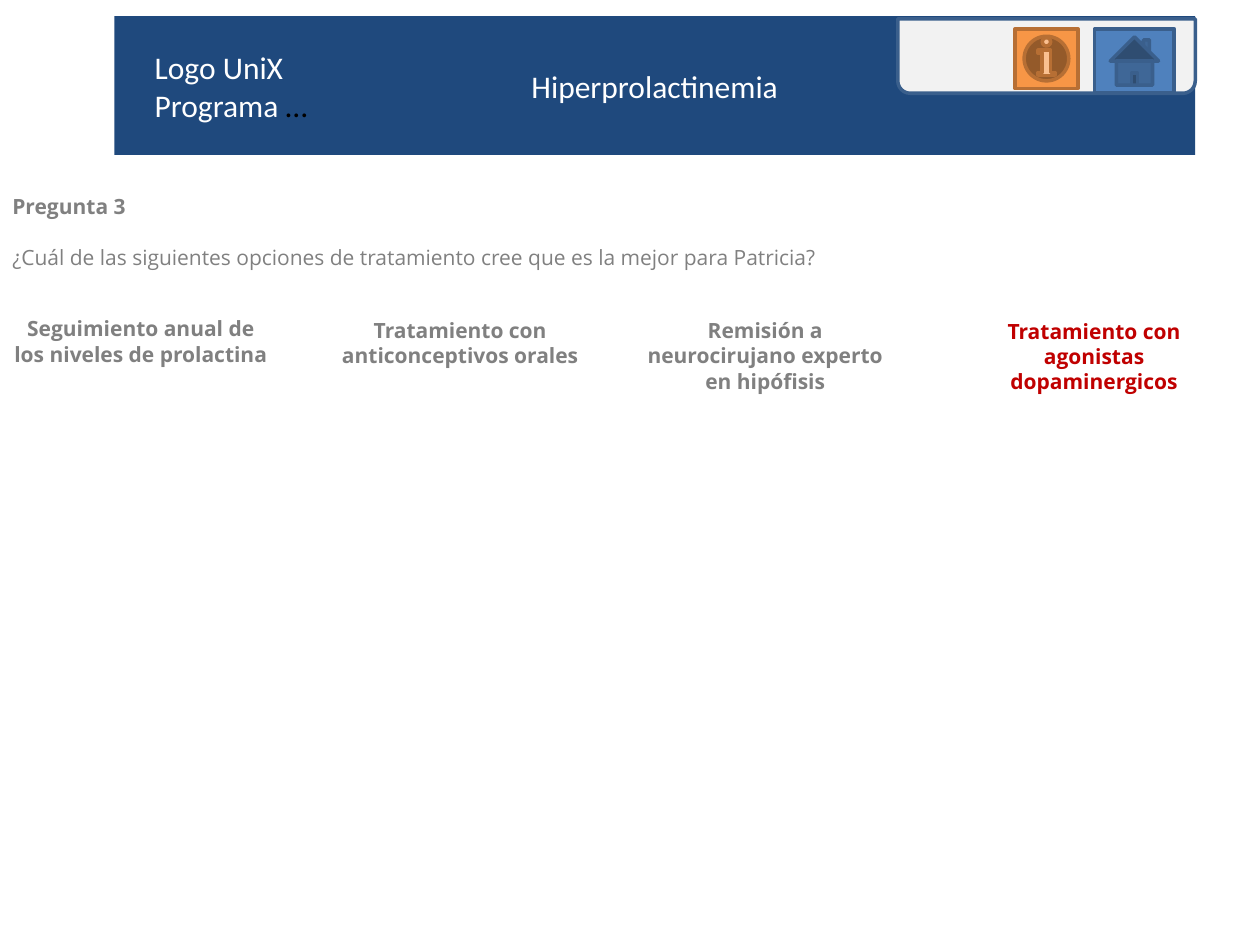
import pptx
import pptx.util
import pptx.dml.color
import pptx.enum.shapes
import pptx.enum.text

Pt = pptx.util.Pt
Kind = pptx.enum.shapes.MSO_SHAPE
Align = pptx.enum.text.PP_ALIGN
Anchor = pptx.enum.text.MSO_ANCHOR

HUES = {
    "navy": "1F497D", "white": "FFFFFF", "black": "000000",
    "pale": "F2F2F2", "blue": "4F81BD", "edge": "3A5F8C",
    "orange": "F79646", "rust": "B76F34", "gray": "808080", "red": "C00000",
}
HEAD = {"name": "Calibri", "size": Pt(18)}
BODY = {"name": "Open Sans", "size": Pt(12)}
BOLD = {**BODY, "bold": True}


def tint(name):
    return pptx.dml.color.RGBColor.from_string(HUES[name])


def add_run(para, text, form, hue):
    run = para.add_run()
    run.text = text
    for key, value in form.items():
        setattr(run.font, key, value)
    run.font.color.rgb = tint(hue)


def add_text(slide, box, wrap=True):
    frame = slide.shapes.add_textbox(*map(Pt, box)).text_frame
    frame.word_wrap = wrap
    return frame


def add_block(slide, kind, box, fill, edge=None):
    block = slide.shapes.add_shape(kind, *map(Pt, box))
    block.shadow.inherit = False
    block.fill.solid()
    block.fill.fore_color.rgb = tint(fill)
    if edge:
        block.line.color.rgb = tint(edge)
        block.line.width = Pt(2)
    else:
        block.line.fill.background()
    return block


def add_banner(slide, box):
    left, top, width, height = box
    frame = add_block(slide, Kind.RECTANGLE, box, "navy").text_frame
    frame.vertical_anchor = Anchor.MIDDLE
    title = frame.paragraphs[0]
    title.alignment = Align.CENTER
    add_run(title, "Hiperprolactinemia", HEAD, "white")
    label = add_text(slide, (left + 16, top + 14.5, 104, 51), False)
    add_run(label.paragraphs[0], "Logo UniX", HEAD, "white")
    line = label.add_paragraph()
    add_run(line, "Programa ", HEAD, "white")
    add_run(line, "…", HEAD, "black")
    add_menu(slide, (left + width - 170, top + 1.5, 170, 42.5))


def add_menu(slide, box):
    left, top, width, height = box
    tab = add_block(slide, Kind.ROUND_2_SAME_RECTANGLE, box, "pale", "edge")
    tab.rotation = 180
    add_block(slide, Kind.ACTION_BUTTON_INFORMATION,
              (left + 67, top + 5.7, 36, 34), "orange", "rust")
    add_block(slide, Kind.ACTION_BUTTON_HOME,
              (left + 112.5, top + 5.7, 45.5, 36.8), "blue", "edge")


def add_query(slide, box):
    frame = add_text(slide, box)
    add_run(frame.paragraphs[0], "Pregunta 3", BOLD, "gray")
    query = frame.add_paragraph()
    query.space_before = Pt(14.5)
    add_run(query, "¿Cuál de las siguientes opciones de tratamiento cree que "
            "es la mejor para Patricia?", BODY, "gray")


def add_choice(slide, box, text, hue):
    para = add_text(slide, box).paragraphs[0]
    para.alignment = Align.CENTER
    add_run(para, text, BOLD, hue)


def main():
    deck = pptx.Presentation()
    deck.slide_width, deck.slide_height = Pt(720), Pt(540)
    slide = deck.slides.add_slide(deck.slide_layouts[6])
    add_banner(slide, (65.3, 9.3, 617.7, 79.2))
    add_query(slide, (0, 107.2, 720, 51))
    choices = [
        ((0, 177, 161, 36),
         "Seguimiento anual de los niveles de prolactina", "gray"),
        ((185, 178, 156, 36),
         "Tratamiento con anticonceptivos orales", "gray"),
        ((359.3, 178, 156, 51),
         "Remisión a neurocirujano experto en hipófisis", "gray"),
        ((547.2, 178.5, 156, 51),
         "Tratamiento con agonistas dopaminergicos", "red"),
    ]
    for choice in choices:
        add_choice(slide, *choice)
    deck.save("out.pptx")


if __name__ == "__main__":
    main()
